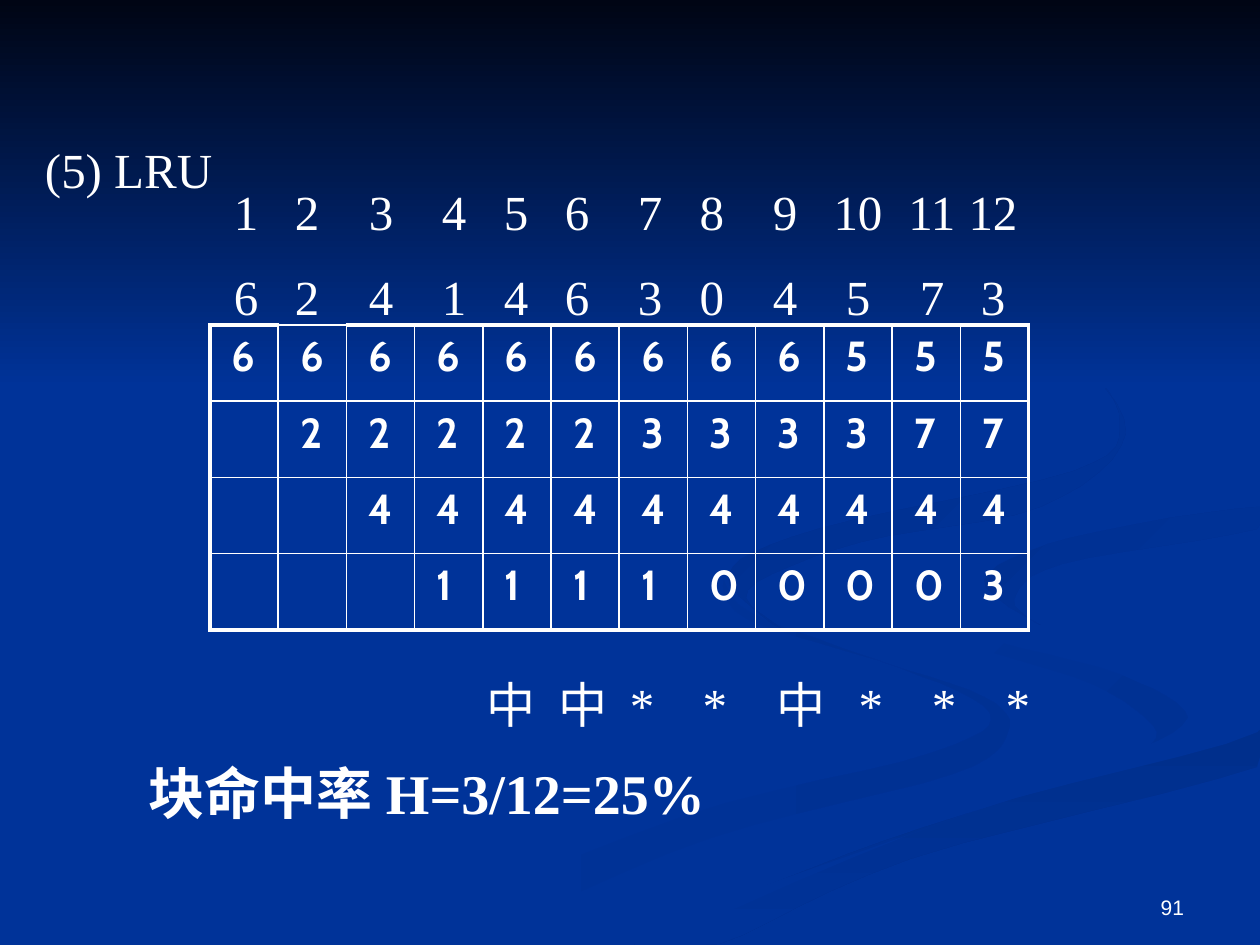
import itertools
import pptx
import pptx.util
import pptx.dml.color
import pptx.enum.shapes
import pptx.enum.text
import pptx.oxml
import pptx.oxml.ns
import lxml.etree

SCALE = 914400 // 126
WIDTH, HEIGHT = 1260, 945
WHITE, BLUE = "FFFFFF", "003399"
SERIF = "Times New Roman"
ALIGN = pptx.enum.text.PP_ALIGN
ANCHOR = pptx.enum.text.MSO_ANCHOR

# Each ribbon: first colour, last colour, clockwise angle, knots of its outline.
RIBBONS = [
    (BLUE, "003193", 0, [
        (984, 697), (859, 654), (748, 611), (724, 578), (747, 619), (900, 668), (990, 713),
        (931, 753), (679, 818), (378, 944), (455, 944), (711, 838), (953, 774), (1008, 732)]),
    (BLUE, "003193", 45, [
        (1188, 718), (1119, 674), (975, 634), (912, 585), (951, 636), (1094, 685),
        (1157, 732), (1126, 762)]),
    ("002F8C", BLUE, 90, [
        (634, 944), (719, 944), (910, 859), (1257, 767), (1257, 732), (963, 815), (755, 890)]),
    (BLUE, BLUE, 0, [
        (914, 585), (1120, 674), (1188, 718), (1062, 779), (601, 944), (654, 941), (963, 815),
        (1258, 732), (1259, 678), (1068, 634), (985, 580), (1071, 538), (1259, 507),
        (1259, 488), (1018, 525)]),
    ("003091", BLUE, 45, [
        (984, 580), (1041, 625), (1014, 600), (1062, 564), (1257, 529), (1257, 507),
        (1070, 538)]),
    ("002F8E", BLUE, 45, [
        (861, 542), (1040, 507), (1126, 433), (1062, 347), (960, 294), (1077, 359),
        (1120, 422), (1074, 471), (818, 529), (728, 575), (784, 630), (748, 590)]),
]

STEPS = [str(step) for step in range(1, 13)]
REQUESTS = "6 2 4 1 4 6 3 0 4 5 7 3".split()
STEP_GAPS = "56655656665"
STEP_CENTRES = [246 + round(12.25 * total)
                for total in itertools.accumulate(map(int, STEP_GAPS), initial=0)]
HITS = "中 中 * * 中 * * *".split()
HIT_CENTRES = [511, 583, 642, 715, 801, 871, 944, 1018]
FRAMES = ["666666666555", " 22222333377", "  4444444444", "   111100003"]


def emu(pixels):
    """Turn pixels into EMU."""
    return pptx.util.Emu(round(pixels * SCALE))


def colour(value):
    """Turn a hex string into a colour."""
    return pptx.dml.color.RGBColor.from_string(value)


def add_run(para, text, size, font=SERIF, bold=False):
    """Add one white run to a paragraph."""
    span = para.add_run()
    span.text = text
    span.font.size = pptx.util.Pt(size)
    span.font.name = font
    span.font.bold = bold
    span.font.color.rgb = colour(WHITE)


def set_frame(box, top_inset=13, anchor=ANCHOR.TOP):
    """Set wrapping, insets and anchor of a text shape and return its frame."""
    frame = box.text_frame
    frame.word_wrap = True
    frame.auto_size = pptx.enum.text.MSO_AUTO_SIZE.NONE
    frame.vertical_anchor = anchor
    frame.margin_left = frame.margin_right = emu(13)
    frame.margin_top, frame.margin_bottom = emu(top_inset), emu(6)
    return frame


def smooth_outline(knots, parts=6):
    """Return the points of a closed smooth curve through the knots."""
    points = []
    for index in range(len(knots)):
        around = [knots[(index + offset) % len(knots)] for offset in (-1, 0, 1, 2)]
        for part in range(parts):
            t = part / parts
            x, y = (b + t * (c - a + t * (2 * a - 5 * b + 4 * c - d
                                          + t * (3 * b - a - 3 * c + d))) / 2
                    for a, b, c, d in zip(*around))
            points.append((min(x, WIDTH), min(y, HEIGHT)))
    return points


def paint(shape, first, last, angle):
    """Fill a shape plainly or with a gradient, without line and shadow."""
    shape.shadow.inherit = False
    shape.line.fill.background()
    if first == last:
        shape.fill.solid()
        shape.fill.fore_color.rgb = colour(first)
        return
    shape.fill.gradient()
    shape.fill.gradient_angle = (360 - angle) % 360
    for position, (stop, value) in enumerate(zip(shape.fill.gradient_stops, (first, last))):
        stop.color.rgb = colour(value)
        stop.position = position


def add_backdrop(page):
    """Draw the blue background, its ribbons and the dark upper band."""
    page.background.fill.solid()
    page.background.fill.fore_color.rgb = colour(BLUE)
    for first, last, angle, knots in RIBBONS:
        outline = smooth_outline(knots)
        builder = page.shapes.build_freeform(*outline[0], scale=SCALE)
        builder.add_line_segments(outline[1:], close=True)
        paint(builder.convert_to_shape(), first, last, angle)
    band = page.shapes.add_shape(
        pptx.enum.shapes.MSO_SHAPE.RECTANGLE, 0, 0, emu(WIDTH), emu(388))
    paint(band, "000514", BLUE, 90)


def add_title(page, left, top, width, height):
    """Place the title in front of the backdrop."""
    title = page.shapes.title
    title.element.getparent().append(title.element)
    title.left, title.top, title.width, title.height = map(emu, (left, top, width, height))
    para = set_frame(title).paragraphs[0]
    para.alignment = ALIGN.LEFT
    add_run(para, "(5) LRU", 28)


def add_text(page, text, left, top, width, height, size, font=SERIF, bold=False,
             align=ALIGN.LEFT, top_inset=13, anchor=ANCHOR.TOP):
    """Add a text box with a single line."""
    box = page.shapes.add_textbox(*map(emu, (left, top, width, height)))
    para = set_frame(box, top_inset, anchor).paragraphs[0]
    para.alignment = align
    add_run(para, text, size, font, bold)


def add_tabbed_rows(page, rows, centres, left, top, width, height):
    """Add rows of entries, each centred on a tab stop."""
    box = page.shapes.add_textbox(*map(emu, (left, top, width, height)))
    frame = set_frame(box)
    for index, row in enumerate(rows):
        para = frame.add_paragraph() if index else frame.paragraphs[0]
        para.space_before = pptx.util.Pt(15 if index else 0)
        stops = lxml.etree.SubElement(para._p.get_or_add_pPr(), pptx.oxml.ns.qn("a:tabLst"))
        for centre in centres:
            stop = lxml.etree.SubElement(stops, pptx.oxml.ns.qn("a:tab"))
            stop.set("pos", str(emu(centre - left - 13)))
            stop.set("algn", "ctr")
        add_run(para, "".join("\t" + entry for entry in row), 28)


def set_borders(cell, widths):
    """Draw the white left, right, top and bottom borders of a cell."""
    properties = cell._tc.get_or_add_tcPr()
    for index, (side, width) in enumerate(zip("LRTB", widths)):
        properties.insert(index, pptx.oxml.parse_xml(
            f'<a:ln{side} {pptx.oxml.ns.nsdecls("a")} w="{round(width * 12700)}">'
            f'<a:solidFill><a:srgbClr val="{WHITE}"/></a:solidFill></a:ln{side}>'))


def add_frame_table(page, left, top, width, height):
    """Add the table of cached blocks at each step."""
    row_count, column_count = len(FRAMES), len(FRAMES[0])
    table = page.shapes.add_table(
        row_count, column_count, *map(emu, (left, top, width, height))).table
    table.first_row = table.horz_banding = False
    for column in table.columns:
        column.width = emu(width / column_count)
    for row_index, blocks in enumerate(FRAMES):
        table.rows[row_index].height = emu(height / row_count)
        for column_index, block in enumerate(blocks):
            cell = table.cell(row_index, column_index)
            cell.fill.background()
            cell.margin_left, cell.margin_right = emu(22), emu(6)
            outer = (column_index == 0, column_index == column_count - 1,
                     row_index == 0 and column_index != 1, row_index == row_count - 1)
            set_borders(cell, [2.25 if edge else 1 for edge in outer])
            if block.strip():
                add_run(cell.text_frame.paragraphs[0], block, 24, "Cabin", True)


def build_slide(deck):
    """Build the LRU slide."""
    page = deck.slides.add_slide(deck.slide_layouts[5])
    add_backdrop(page)
    add_title(page, 32, 126, 262, 72)
    add_text(page, "91", 903, 861, 294, 65, 12, "Arial", align=ALIGN.RIGHT,
             top_inset=6, anchor=ANCHOR.BOTTOM)
    add_frame_table(page, 210, 325, 819, 305)
    add_tabbed_rows(page, [STEPS, REQUESTS], STEP_CENTRES, 210, 168, 840, 160)
    add_tabbed_rows(page, [HITS], HIT_CENTRES, 409, 661, 672, 72)
    add_text(page, "块命中率 H=3/12=25%", 136, 746, 935, 79, 32, bold=True)


deck = pptx.Presentation()
deck.slide_width, deck.slide_height = emu(WIDTH), emu(HEIGHT)
build_slide(deck)
deck.save("out.pptx")
